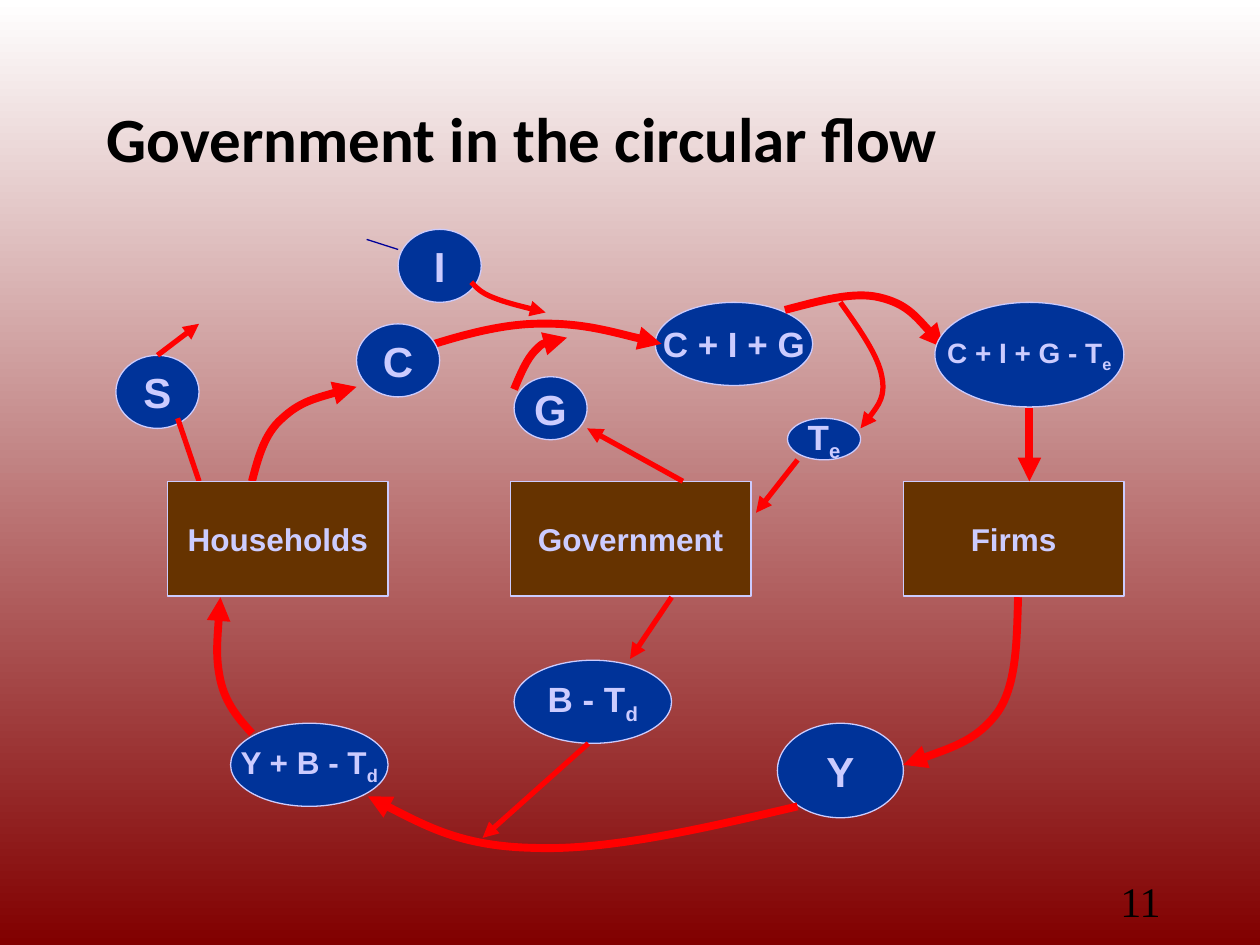
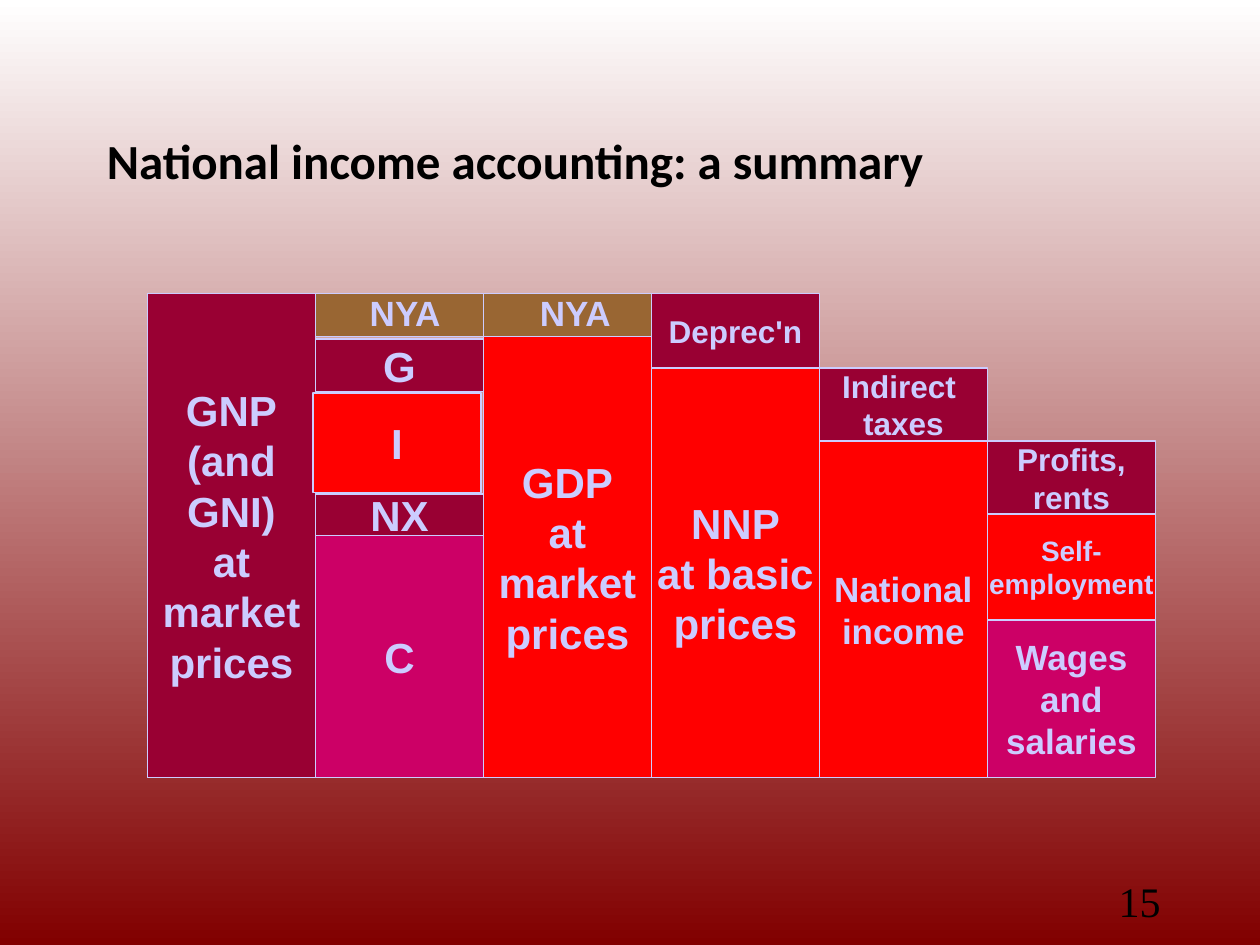
from lxml.etree import SubElement
from pptx import Presentation
from pptx.dml.color import RGBColor
from pptx.enum.shapes import MSO_CONNECTOR, MSO_SHAPE
from pptx.enum.text import MSO_ANCHOR, PP_ALIGN
from pptx.oxml.ns import qn
from pptx.util import Inches, Pt

COLORS = {
    "white": "FFFFFF",
    "maroon": "810000",
    "black": "000000",
    "lavender": "CCCCFF",
    "blue": "003399",
    "navy": "000099",
    "brown": "663300",
    "tan": "996633",
    "red": "FF0000",
    "wine": "990033",
    "pink": "CC0066",
}
THIN, MEDIUM, THICK = 0.75, 3, 4.5
COLUMN_LEFT, COLUMN_WIDTH = 1.17, 4 / 3
CHART_TOP, CHART_BASE = 2.33, 6.17

BACK_NODES = [
    ("Y", 6.17, 5.74, 1, 0.75, 24),
    ("C + I + G", 5.2, 2.4, 1.25, 0.66, 20),
    ("I", 3.16, 1.82, 0.66, 0.58, 24),
    ("S", 0.92, 2.82, 0.66, 0.58, 24),
]
FRONT_NODES = [
    ("C", 2.83, 2.57, 0.66, 0.58, 24),
    ("C + I + G - T_e", 7.42, 2.4, 1.5, 0.83, 16),
    ("T_e", 6.25, 3.32, 0.58, 0.33, 20),
    ("G", 4.08, 2.99, 0.58, 0.5, 24),
    ("B - T_d", 4.08, 5.24, 1.25, 0.66, 20),
    ("Y + B - T_d", 1.83, 5.74, 1.25, 0.66, 18),
]
SECTORS = [
    ("Households", 1.33, 1.75),
    ("Firms", 7.17, 1.75),
    ("Government", 4.05, 1.91),
]
BACK_CURVES = [
    (THICK, [(8.08, 4.74), (8.07, 5.08), (8.07, 5.43), (7.92, 5.65),
             (7.76, 5.87), (7.46, 5.97), (7.17, 6.07)]),
    (THICK, [(3.17, 2.82), (3.53, 2.7), (3.9, 2.58), (4.25, 2.57),
             (4.6, 2.56), (4.92, 2.65), (5.25, 2.73)]),
    (THICK, [(6.23, 2.46), (6.5, 2.39), (6.77, 2.31), (6.98, 2.36),
             (7.19, 2.41), (7.34, 2.58), (7.49, 2.76)]),
    (MEDIUM, [(3.74, 2.24), (3.78, 2.28), (3.81, 2.32), (3.91, 2.36),
              (4.01, 2.4), (4.17, 2.44), (4.33, 2.48)]),
    (THICK, [(2, 3.82), (2.05, 3.63), (2.1, 3.44), (2.24, 3.32),
             (2.38, 3.19), (2.6, 3.13), (2.83, 3.07)]),
]
FRONT_CURVES = [
    (MEDIUM, [(6.67, 2.4), (6.82, 2.61), (6.97, 2.82), (7, 2.99),
              (7.03, 3.15), (6.93, 3.28), (6.83, 3.4)]),
    (THICK, [(4.08, 3.09), (4.13, 2.97), (4.18, 2.85), (4.25, 2.78),
             (4.32, 2.71), (4.41, 2.69), (4.5, 2.68)]),
    (THICK, [(6.33, 6.4), (5.57, 6.58), (4.82, 6.75), (4.25, 6.73),
             (3.68, 6.72), (3.3, 6.52), (2.92, 6.32)]),
    (THICK, [(2, 5.82), (1.89, 5.7), (1.79, 5.58), (1.75, 5.4),
             (1.71, 5.22), (1.73, 4.98), (1.75, 4.74)]),
]
FRONT_ARROWS = [
    (THICK, (8.17, 3.24), (8.17, 3.82)),
    (MEDIUM, (6.33, 3.65), (6, 4.07)),
    (MEDIUM, (5.42, 3.82), (4.66, 3.4)),
    (MEDIUM, (5.33, 4.74), (5, 5.23)),
    (MEDIUM, (4.67, 5.9), (3.83, 6.65)),
]
ACCOUNT_BLOCKS = [
    (0, CHART_TOP, CHART_BASE, "wine", "GNP\n(and\nGNI)\nat\nmarket\nprices", 24),
    (2, 2.67, CHART_BASE, "red", "GDP\nat\nmarket\nprices", 24),
    (2, CHART_TOP, 2.67, "tan", "", 20),
    (1, 4.25, CHART_BASE, "pink", "C", 24),
    (1, 3.92, 4.25, "wine", "NX", 24),
    (1, 3.12, 3.91, "red", "I", 24),
    (1, CHART_TOP, 2.67, "tan", "", 20),
    (1, 2.69, 3.11, "wine", "G", 24),
    (3, 2.92, CHART_BASE, "red", "NNP\nat basic\nprices", 24),
    (3, CHART_TOP, 2.92, "wine", "Deprec'n", 18),
    (4, 3.5, CHART_BASE, "red", "National\nincome", 20),
    (4, 2.92, 3.5, "wine", "Indirect \ntaxes", 18),
    (5, 4.92, CHART_BASE, "pink", "Wages\nand\nsalaries", 20),
    (5, 4.08, 4.92, "red", "Self-\nemployment", 16),
    (5, 3.5, 4.08, "wine", "Profits,\nrents", 18),
]


def rgb(name):
    """Return the named colour."""
    return RGBColor.from_string(COLORS[name])


def add_run(paragraph, text, size, font, color, bold):
    """Append one formatted run."""
    run = paragraph.add_run()
    run.text = text
    run.font.size = Pt(size)
    run.font.name = font
    run.font.bold = bold
    run.font.color.rgb = rgb(color)
    return run


def write_text(shape, text, size, font="Arial", color="lavender", bold=True,
               align=PP_ALIGN.CENTER, wrap=False, spacing=None):
    """Write lines of text, with the part after an underscore as a subscript."""
    frame = shape.text_frame
    frame.word_wrap = wrap
    frame.vertical_anchor = MSO_ANCHOR.MIDDLE
    for index, line in enumerate(text.split("\n")):
        paragraph = frame.add_paragraph() if index else frame.paragraphs[0]
        paragraph.alignment = align
        paragraph.line_spacing = spacing
        base, _, subscript = line.partition("_")
        add_run(paragraph, base, size, font, color, bold)
        if subscript:
            run = add_run(paragraph, subscript, size, font, color, bold)
            run.font._element.set("baseline", "-25000")


def add_text(slide, box, text, size, **style):
    """Add a text box."""
    shape = slide.shapes.add_textbox(*map(Inches, box))
    write_text(shape, text, size, **style)


def add_block(slide, kind, box, fill, text, size):
    """Add a filled shape with a thin outline and an optional label."""
    shape = slide.shapes.add_shape(kind, *map(Inches, box))
    shape.shadow.inherit = False
    shape.fill.solid()
    shape.fill.fore_color.rgb = rgb(fill)
    style_line(shape, "lavender", THIN)
    if text:
        write_text(shape, text, size)
    return shape


def add_node(slide, text, left, top, width, height, size):
    """Add an oval that names a flow."""
    box = (left, top, width, height)
    return add_block(slide, MSO_SHAPE.OVAL, box, "blue", text, size)


def style_line(shape, color, width, arrow=False):
    """Set the line of a shape, with an arrowhead at its end if wanted."""
    shape.line.color.rgb = rgb(color)
    shape.line.width = Pt(width)
    if arrow:
        line = shape.element.find(".//" + qn("a:ln"))
        SubElement(line, qn("a:tailEnd"), type="triangle")


def add_line(slide, start, end, color="red", width=MEDIUM, arrow=True):
    """Add a straight connector."""
    connector = slide.shapes.add_connector(
        MSO_CONNECTOR.STRAIGHT, *map(Inches, (*start, *end)))
    style_line(connector, color, width, arrow)
    SubElement(connector.element.spPr, qn("a:effectLst"))
    return connector


def add_curve(slide, width, points):
    """Add a curved arrow through Bezier points."""
    start, *controls = [(Inches(x), Inches(y)) for x, y in points]
    builder = slide.shapes.build_freeform(*start)
    builder.add_line_segments(controls, close=False)
    shape = builder.convert_to_shape()
    outline = shape.element.find(".//" + qn("a:path"))
    segments = outline.findall(qn("a:lnTo"))
    for first in range(0, len(segments), 3):
        bezier = SubElement(outline, qn("a:cubicBezTo"))
        for segment in segments[first:first + 3]:
            bezier.append(segment[0])
            outline.remove(segment)
    shape.fill.background()
    shape.shadow.inherit = False
    style_line(shape, "red", width, arrow=True)


def add_slide(presentation, title, title_top, title_size, number):
    """Add a slide with the shared background, title and number."""
    slide = presentation.slides.add_slide(presentation.slide_layouts[6])
    fill = slide.background.fill
    fill.gradient()
    fill.gradient_angle = 270
    for stop, color in zip(fill.gradient_stops, ("white", "maroon")):
        stop.color.rgb = rgb(color)
    add_text(slide, (0.75, title_top, 8.5, 1.25), title, title_size, font="Calibri",
             color="black", align=PP_ALIGN.LEFT, wrap=True, spacing=0.9)
    add_text(slide, (7.06, 6.95, 2.25, 0.4), number, 24, font="Times New Roman",
             color="black", bold=False, align=PP_ALIGN.RIGHT, wrap=True)
    return slide


def build_circular_flow(presentation):
    """Build the circular flow diagram."""
    slide = add_slide(presentation, "Government in the circular flow", 0.5, 36, "11")
    nodes = {node[0]: add_node(slide, *node) for node in BACK_NODES}
    for curve in BACK_CURVES:
        add_curve(slide, *curve)
    add_line(slide, (2.91, 1.9), (3.16, 1.98), "navy", THIN, arrow=False)
    add_line(slide, (1.58, 3.82), (1.41, 3.32), arrow=False)
    saving = add_line(slide, (1.25, 2.82), (1.58, 2.57))
    saving.begin_connect(nodes["S"], 0)
    for name, left, width in SECTORS:
        add_block(slide, MSO_SHAPE.RECTANGLE, (left, 3.82, width, 0.91), "brown", name, 18)
    for node in FRONT_NODES:
        add_node(slide, *node)
    for curve in FRONT_CURVES:
        add_curve(slide, *curve)
    for width, start, end in FRONT_ARROWS:
        add_line(slide, start, end, width=width)


def build_income_summary(presentation):
    """Build the stacked columns of national income."""
    slide = add_slide(presentation, "National income accounting: a summary", 0.67, 28, "15")
    add_line(slide, (COLUMN_LEFT, CHART_BASE), (COLUMN_LEFT + 6 * COLUMN_WIDTH, CHART_BASE),
             "lavender", THIN, arrow=False)
    for column, top, bottom, fill, text, size in ACCOUNT_BLOCKS:
        nudge = 0.02 if text == "I" else 0
        left = COLUMN_LEFT + column * COLUMN_WIDTH - nudge
        box = (left, top, COLUMN_WIDTH, bottom - top)
        add_block(slide, MSO_SHAPE.RECTANGLE, box, fill, text, size)
    for left in (2.82, 4.17):
        add_text(slide, (left, 2.26, 0.79, 0.44), "NYA", 20)


def main():
    """Build and save the presentation."""
    presentation = Presentation()
    presentation.slide_width = Inches(10)
    presentation.slide_height = Inches(7.5)
    build_circular_flow(presentation)
    build_income_summary(presentation)
    presentation.save("out.pptx")


if __name__ == "__main__":
    main()
